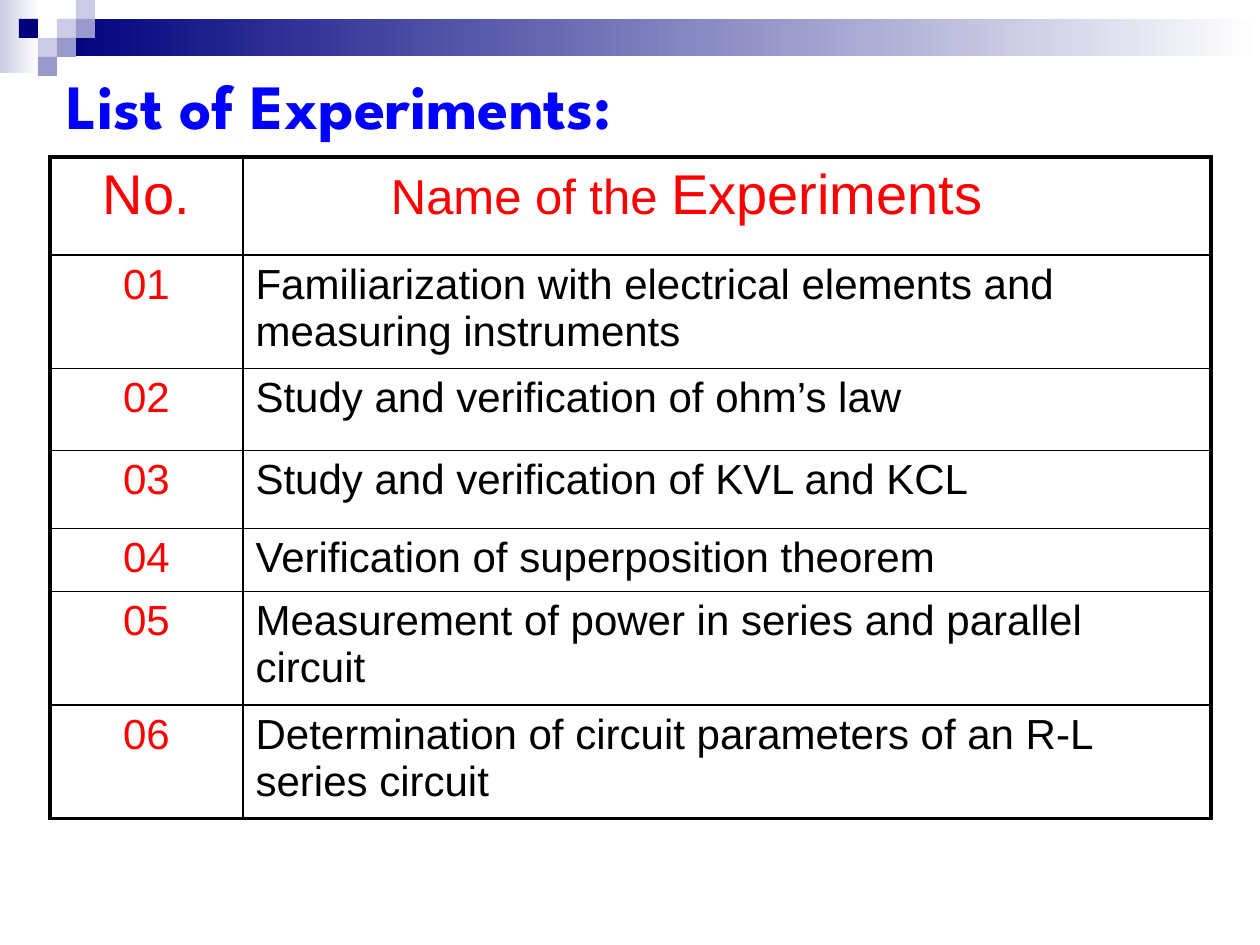
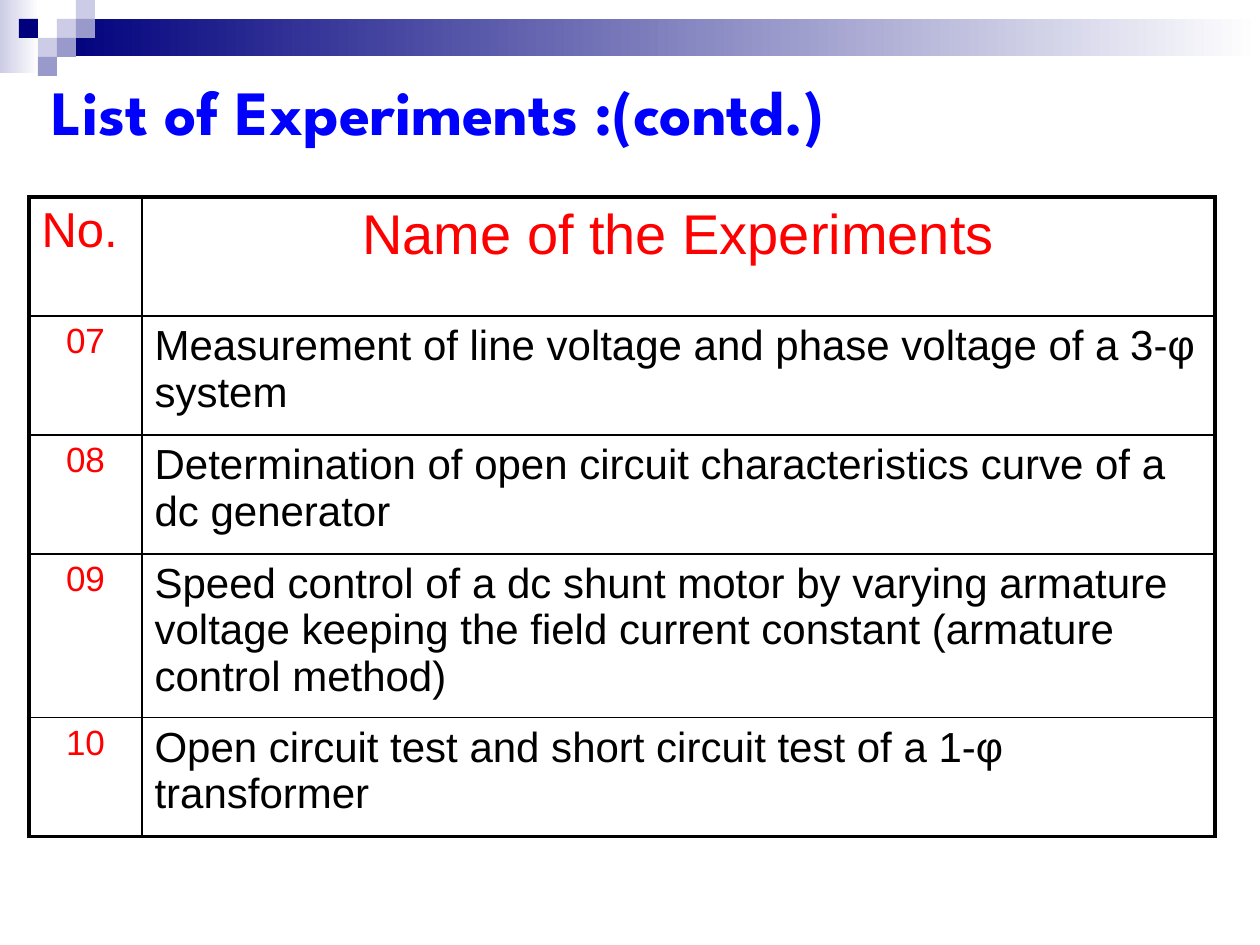
from lxml.etree import SubElement
from pptx import Presentation
from pptx.dml.color import RGBColor
from pptx.enum.shapes import MSO_SHAPE
from pptx.enum.text import MSO_ANCHOR, PP_ALIGN
from pptx.oxml.ns import qn
from pptx.util import Emu, Pt

COLORS = {
    "navy": "00007D",
    "lavender": "9999CC",
    "pale": "CCCCE6",
    "white": "FFFFFF",
    "title": "0000FF",
    "accent": "FF0000",
    "text": "000000",
}
TITLE_FONT = "League Spartan"
BODY_FONT = "Arial"
SQUARE = 19
SQUARES = [
    (3, 1, "pale"),
    (4, 0, "pale"),
    (4, 1, "lavender"),
    (2, 2, "pale"),
    (1, 1, "navy"),
    (3, 2, "lavender"),
    (2, 3, "lavender"),
]
OUTER_LINE, INNER_LINE = 2.25, 1


def px(length):
    """Turn a length in px into EMU."""
    return Emu(round(length * 914400 / 126))


def color(name):
    """Look up a named colour."""
    return RGBColor.from_string(COLORS[name])


def write(frame, text, size=24, font=BODY_FONT, fill="text", bold=False, align=PP_ALIGN.LEFT):
    """Append formatted text to the first paragraph of a text frame."""
    frame.word_wrap = True
    paragraph = frame.paragraphs[0]
    paragraph.alignment = align
    run = paragraph.add_run()
    run.text = text
    run.font.size = Pt(size)
    run.font.name = font
    run.font.bold = bold
    run.font.color.rgb = color(fill)


def add_rectangle(slide, box, start, end=None):
    """Add a borderless rectangle, fading to the right if an end colour is given."""
    shape = slide.shapes.add_shape(MSO_SHAPE.RECTANGLE, *map(px, box))
    shape.shadow.inherit = False
    shape.line.fill.background()
    if end is None:
        shape.fill.solid()
        shape.fill.fore_color.rgb = color(start)
        return
    shape.fill.gradient()
    shape.fill.gradient_angle = 0
    for stop, position, name in zip(shape.fill.gradient_stops, (0, 1), (start, end)):
        stop.position = position
        stop.color.rgb = color(name)


def add_banner(slide, box):
    """Draw the fading band and its mosaic of squares."""
    left, top, width, height = box
    band_left = 3 * SQUARE
    add_rectangle(slide, (left, top, 39, height), "pale", "white")
    add_rectangle(
        slide,
        (left + band_left, top + SQUARE, width - band_left, 2 * SQUARE - 1),
        "navy",
        "white",
    )
    for column, row, name in SQUARES:
        add_rectangle(
            slide, (left + column * SQUARE, top + row * SQUARE, SQUARE, SQUARE), name
        )


def add_title(slide, box, text):
    """Add the vertically centred slide title."""
    frame = slide.shapes.add_textbox(*map(px, box)).text_frame
    frame.vertical_anchor = MSO_ANCHOR.MIDDLE
    write(frame, text, size=36, font=TITLE_FONT, fill="title", bold=True)


def set_borders(cell, widths):
    """Draw the left, right, top and bottom cell borders."""
    properties = cell._tc.get_or_add_tcPr()
    for side, width in zip("LRTB", widths):
        line = SubElement(properties, qn(f"a:ln{side}"), w=str(Pt(width)))
        fill = SubElement(line, qn("a:solidFill"))
        SubElement(fill, qn("a:srgbClr"), val=COLORS["text"])
    cell.fill.background()


def add_experiment_table(slide, origin, columns, rows, first_number, names, number_size):
    """Add a table of numbered experiments and return its two header cells."""
    frame = slide.shapes.add_table(
        len(rows), len(columns), *map(px, (*origin, sum(columns), sum(rows)))
    )
    table = frame.table
    table.first_row = table.horz_banding = False
    for column, width in zip(table.columns, columns):
        column.width = px(width)
    for row, height in zip(table.rows, rows):
        row.height = px(height)
    last_row, last_column = len(rows) - 1, len(columns) - 1
    for row in range(len(rows)):
        for column in range(len(columns)):
            edges = (column == 0, column == last_column, row == 0, row == last_row)
            set_borders(
                table.cell(row, column),
                [OUTER_LINE if edge else INNER_LINE for edge in edges],
            )
    for row, name in enumerate(names, start=1):
        write(
            table.cell(row, 0).text_frame,
            f"{first_number + row - 1:02d}",
            size=number_size,
            fill="accent",
            align=PP_ALIGN.CENTER,
        )
        write(table.cell(row, 1).text_frame, name)
    return table.cell(0, 0), table.cell(0, 1)


def add_base_slide(presentation, title_box, title):
    """Add a blank slide with the shared banner and a title."""
    slide = presentation.slides.add_slide(presentation.slide_layouts[6])
    add_banner(slide, (0, 0, 1260, 73))
    add_title(slide, title_box, title)
    return slide


def build_first_list(presentation):
    """Build the slide with experiments 01 to 06."""
    slide = add_base_slide(presentation, (54, 10, 1134, 189), "List of Experiments:")
    names = [
        "Familiarization with electrical elements and measuring instruments",
        "Study and verification of ohm’s law",
        "Study and verification of KVL and KCL",
        "Verification of superposition theorem",
        "Measurement of power in series and parallel circuit",
        "Determination of circuit parameters of an R-L series circuit",
    ]
    number_header, name_header = add_experiment_table(
        slide, (50, 157), (193, 968), (98, 98, 82, 78, 62, 78, 78), 1, names, 24
    )
    write(number_header.text_frame, "No.", size=32, fill="accent", align=PP_ALIGN.CENTER)
    name_header.margin_left = px(148)
    write(name_header.text_frame, "Name of the ", size=28, fill="accent")
    write(name_header.text_frame, "Experiments", size=32, fill="accent")


def build_second_list(presentation):
    """Build the slide with experiments 07 to 10."""
    slide = add_base_slide(presentation, (39, 66, 958, 89), "List of Experiments :(contd.)")
    names = [
        "Measurement of line voltage and phase voltage of a 3-φ system",
        "Determination of open circuit characteristics curve of a dc generator",
        "Speed control of a dc shunt motor by varying armature voltage keeping "
        "the field current constant (armature control method)",
        "Open circuit test and short circuit test of a 1-φ transformer",
    ]
    number_header, name_header = add_experiment_table(
        slide, (29, 197), (113, 1073), (119, 119, 119, 105, 119), 7, names, 20
    )
    write(number_header.text_frame, "No.", size=28, fill="accent")
    write(
        name_header.text_frame,
        "Name of the Experiments",
        size=32,
        fill="accent",
        align=PP_ALIGN.CENTER,
    )


def main():
    """Build and save the presentation."""
    presentation = Presentation()
    presentation.slide_width, presentation.slide_height = px(1260), px(945)
    build_first_list(presentation)
    build_second_list(presentation)
    presentation.save("out.pptx")


if __name__ == "__main__":
    main()
